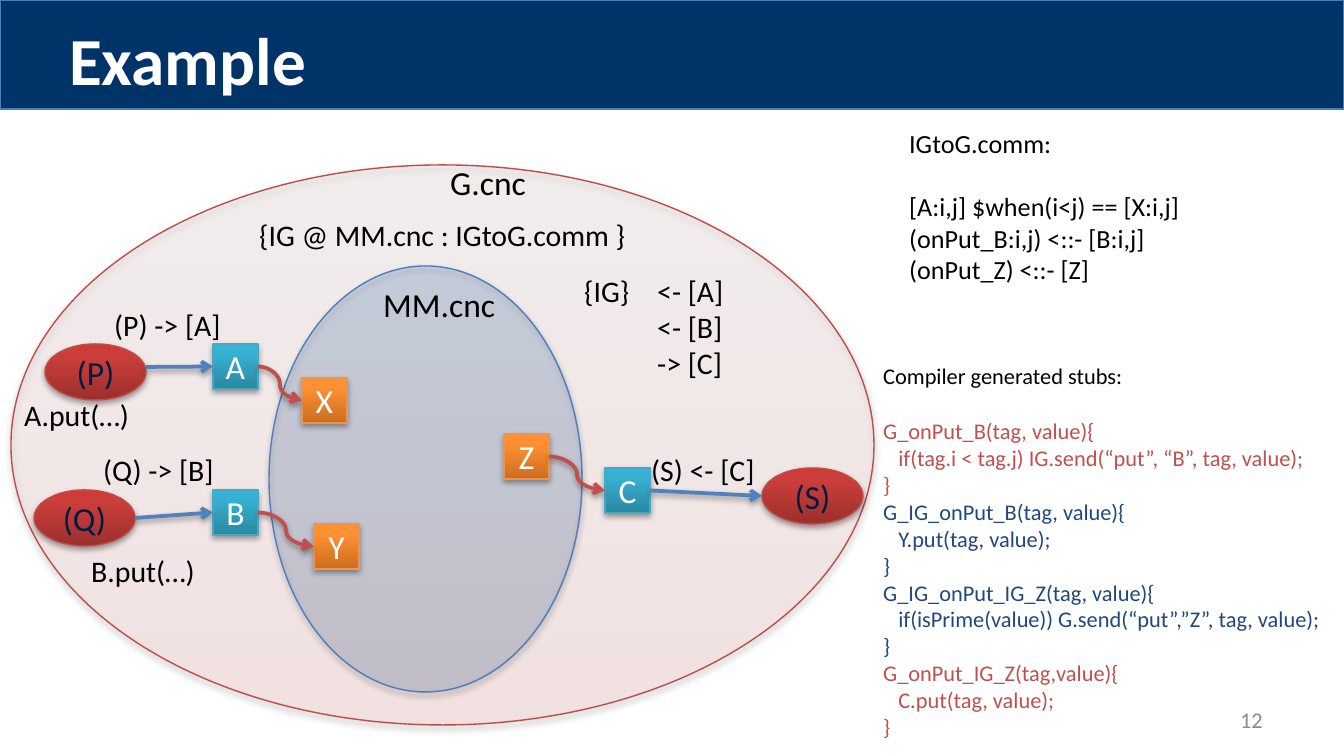
"""Build the Example slide: the G.cnc and MM.cnc graphs with their generated stubs."""
from lxml import etree
from pptx import Presentation
from pptx.dml.color import RGBColor
from pptx.enum.shapes import MSO_CONNECTOR, MSO_SHAPE
from pptx.enum.text import MSO_ANCHOR, MSO_AUTO_SIZE, PP_ALIGN
from pptx.oxml import parse_xml
from pptx.oxml.ns import nsdecls, qn
from pptx.util import Pt

RECT, OVAL = MSO_SHAPE.RECTANGLE, MSO_SHAPE.OVAL
STRAIGHT, CURVE = MSO_CONNECTOR.STRAIGHT, MSO_CONNECTOR.CURVE
LEFT, CENTER, RIGHT = PP_ALIGN.LEFT, PP_ALIGN.CENTER, PP_ALIGN.RIGHT
TOP, MIDDLE = MSO_ANCHOR.TOP, MSO_ANCHOR.MIDDLE
FIXED, GROW = MSO_AUTO_SIZE.NONE, MSO_AUTO_SIZE.SHAPE_TO_FIT_TEXT

BLACK = RGBColor(0x00, 0x00, 0x00)
WHITE = RGBColor(0xFF, 0xFF, 0xFF)
GRAY = RGBColor(0x8C, 0x8C, 0x8C)
NAVY = RGBColor(0x00, 0x33, 0x67)
INK = RGBColor(0x00, 0x1C, 0x43)
RED = RGBColor(0xC0, 0x50, 0x4D)
BLUE = RGBColor(0x4F, 0x81, 0xBD)
DARK_BLUE = RGBColor(0x1F, 0x49, 0x7D)
BLUE_EDGE = RGBColor(0x4B, 0x7E, 0xBC)
RED_EDGE = RGBColor(0xBF, 0x4C, 0x48)
ORANGE_EDGE = RGBColor(0xF6, 0x92, 0x40)
TEAL_EDGE = RGBColor(0x46, 0xAA, 0xC5)

PINK_FADE = [(0, "FFA6A5"), (35, "FFC0BF"), (100, "FFE7E7")]
BLUE_FADE = [(0, "2F5F99"), (80, "3D7CC7"), (100, "3A7CCB")]
RED_FADE = [(0, "9C2F2D"), (80, "CB3E3A"), (100, "CE3B37")]
ORANGE_FADE = [(0, "CC6E20"), (80, "FF9034"), (100, "FF9136")]
TEAL_FADE = [(0, "2A88A2"), (80, "37B1D2"), (100, "34B4D6")]

EMU = 9144000 / 1344


def px(*lengths):
    return [round(n * EMU) for n in lengths]


def write(sp, text, size=16, colors=(BLACK,), bold=False, align=LEFT, anchor=TOP,
          wrap=False, fit=GROW, margin=None, gap=0, tab=None):
    tf = sp.text_frame
    tf.word_wrap, tf.auto_size, tf.vertical_anchor = wrap, fit, anchor
    if margin is not None:
        tf.margin_left = tf.margin_right = tf.margin_top = tf.margin_bottom = margin
    for i, line in enumerate(text.split("\n")):
        p = tf.add_paragraph() if i else tf.paragraphs[0]
        p.alignment = align
        if i == 1 and gap:
            p.space_before = Pt(gap)
        if tab:
            tabs = etree.SubElement(p._p.get_or_add_pPr(), qn("a:tabLst"))
            etree.SubElement(tabs, qn("a:tab"), pos=str(px(tab)[0]), algn="l")
        r = p.add_run()
        r.text = line
        r.font.name, r.font.size, r.font.bold = "Calibri", Pt(size), bold
        r.font.color.rgb = colors[min(i, len(colors) - 1)]


prs = Presentation()
prs.slide_width, prs.slide_height = px(1344, 756)
s = prs.slides.add_slide(prs.slide_layouts[6])

header = s.shapes.add_shape(RECT, *px(0, 0, 1344, 109))
header.shadow.inherit = False
header.fill.solid()
header.fill.fore_color.rgb = NAVY
header.line.color.rgb = BLUE_EDGE
header.line.width = Pt(0.75)

title = s.shapes.add_textbox(*px(56, 12, 1232, 95))
write(title, "Example", size=36, colors=[WHITE], bold=True, wrap=True)
number = s.shapes.add_textbox(*px(963, 700, 313, 40))
write(number, "12", size=12, colors=[GRAY], align=RIGHT, anchor=MIDDLE, wrap=True, fit=FIXED)

graph = (OVAL, 863, 560, PINK_FADE, 18, RED_EDGE, WHITE)
inner = (OVAL, 313, 426, BLUE_FADE, 17, BLUE_EDGE, WHITE)
step = (OVAL, 101, 56, RED_FADE, 100, RED_EDGE, INK)
item = (RECT, 45, 45, TEAL_FADE, 100, TEAL_EDGE, WHITE)
inner_item = (RECT, 45, 45, ORANGE_FADE, 100, ORANGE_EDGE, WHITE)

nodes = {}
for name, x, y, kind in [
    ("", 11, 165, graph), ("", 269, 266, inner),
    ("X", 302, 378, inner_item), ("Y", 314, 524, inner_item), ("Z", 504, 434, inner_item),
    ("(P)", 45, 344, step), ("(Q)", 34, 490, step), ("(S)", 762, 468, step),
    ("A", 213, 344, item), ("B", 213, 490, item), ("C", 605, 468, item),
]:
    shape, w, h, fade, alpha, edge, ink = kind
    sp = s.shapes.add_shape(shape, *px(x, y, w, h))
    stops = "".join(
        f'<a:gs pos="{pos * 1000}"><a:srgbClr val="{rgb}">'
        f'<a:alpha val="{alpha * 1000}"/></a:srgbClr></a:gs>' for pos, rgb in fade)
    sp._element.spPr.insert(2, parse_xml(
        f'<a:gradFill {nsdecls("a")} rotWithShape="1"><a:gsLst>{stops}</a:gsLst>'
        '<a:lin ang="16200000" scaled="0"/></a:gradFill>'))
    sp.line.color.rgb = edge
    sp.line.width = Pt(0.75)
    if name:
        write(sp, name, size=18, colors=[ink], align=CENTER, anchor=MIDDLE,
              wrap=True, fit=FIXED, margin=0)
    nodes[name] = sp

links = []
for kind, color, x1, y1, x2, y2, start, end in [
    (STRAIGHT, BLUE, 146, 367, 213, 367, None, "A"),
    (STRAIGHT, BLUE, 135, 518, 213, 513, None, "B"),
    (STRAIGHT, BLUE, 650, 491, 762, 496, "C", None),
    (CURVE, RED, 258, 367, 302, 401, "A", "X"),
    (CURVE, RED, 258, 513, 314, 547, "B", "Y"),
    (CURVE, RED, 549, 457, 605, 491, "Z", "C"),
]:
    link = s.shapes.add_connector(kind, *px(x1, y1, x2, y2))
    if start:
        link.begin_connect(nodes[start], 3)
    if end:
        link.end_connect(nodes[end], 1)
    link.line.color.rgb = color
    link.line.width = Pt(2)
    etree.SubElement(link.line._get_or_add_ln(), qn("a:tailEnd"), type="arrow")
    links.append(link)

for sp in [sp for sp in s.shapes if sp in links or sp._element.spPr.find(qn("a:gradFill")) is not None]:
    sp._element.spPr.append(parse_xml(
        f'<a:effectLst {nsdecls("a")}><a:outerShdw blurRad="40000" dist="22000" '
        'dir="5400000" rotWithShape="0"><a:srgbClr val="000000"><a:alpha val="36000"/>'
        '</a:srgbClr></a:outerShdw></a:effectLst>'))

for text, x, y, w, h, size in [
    ("G.cnc", 437, 155, 103, 54, 18),
    ("MM.cnc", 370, 277, 140, 54, 18),
    ("{IG @ MM.cnc : IGtoG.comm }", 246, 210, 399, 50, 16),
    ("(P) -> [A]", 101, 300, 134, 50, 16),
    ("A.put(…)", 11, 390, 133, 50, 16),
    ("(Q) -> [B]", 90, 445, 138, 50, 16),
    ("B.put(…)", 78, 546, 132, 50, 16),
    ("(S) <- [C]", 638, 445, 132, 50, 16),
]:
    write(s.shapes.add_textbox(*px(x, y, w, h)), text, size=size)

ports = s.shapes.add_textbox(*px(571, 266, 224, 122))
write(ports, "{IG}\t<- [A]\n\t<- [B]\n\t-> [C]", wrap=True, tab=73)

comm = s.shapes.add_textbox(*px(896, 121, 381, 172))
write(comm, """IGtoG.comm:
[A:i,j] $when(i<j) == [X:i,j]
(onPut_B:i,j) <::- [B:i,j]
(onPut_Z) <::- [Z]""", size=14, wrap=True, gap=17)

stubs = s.shapes.add_textbox(*px(870, 356, 474, 394))
write(stubs, """Compiler generated stubs:
G_onPut_B(tag, value){
   if(tag.i < tag.j) IG.send(“put”, “B”, tag, value);
}
G_IG_onPut_B(tag, value){
   Y.put(tag, value);
}
G_IG_onPut_IG_Z(tag, value){
   if(isPrime(value)) G.send(“put”,”Z”, tag, value);
}
G_onPut_IG_Z(tag,value){
   C.put(tag, value);
}""", size=12, colors=[BLACK] + [RED] * 3 + [DARK_BLUE] * 6 + [RED], wrap=True, gap=15)

prs.save("out.pptx")
